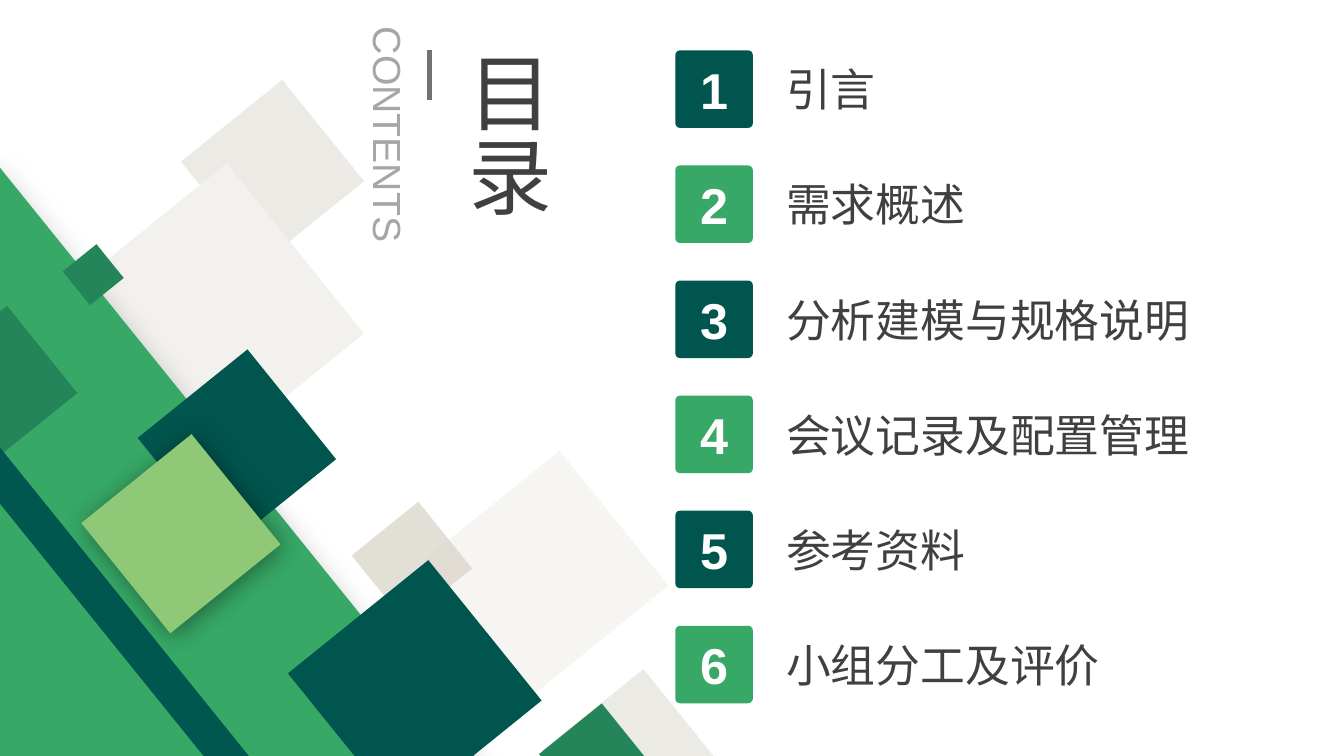
from dataclasses import dataclass

from lxml import etree
from pptx import Presentation
from pptx import util as u
from pptx.dml.color import RGBColor
from pptx.enum import shapes, text
from pptx.oxml import ns


@dataclass(frozen=True)
class Theme:
    font: str = "Arial"
    title: int = 60
    sub: int = 28
    num: int = 36
    item: int = 32
    ink: str = "404040"
    pale: str = "A6A6A6"
    rule: str = "767171"
    white: str = "FFFFFF"
    deep: str = "00554E"
    stripe: str = "00574F"
    green: str = "37A866"
    mid: str = "24855A"
    lime: str = "8FC877"
    sand: str = "E7E4DD"
    mist: str = "F2F1ED"
    stone: str = "D8D4C9"


T = Theme()
TILT = 231.1
ITEMS = ["引言", "需求概述", "分析建模与规格说明", "会议记录及配置管理", "参考资料", "小组分工及评价"]

# centre x, centre y, width, height, colour, opacity %, shadow (blur, distance, angle)
DECOR = [
    (194.6, 122.4, 93, 93, T.sand, 76, None),
    (150.2, 226.5, 156.2, 156.2, T.mist, 100, None),
    (452.6, 543.3, 93, 93, T.sand, 76, None),
    (390.3, 409, 123.9, 123.9, T.mist, 67, None),
    (294.2, 401.4, 61.2, 61.2, T.stone, 73, None),
    (91.8, 511.6, 748, 349.2, T.green, 100, (27, 16, 90)),
    (425.5, 542.9, 57.6, 57.6, T.mid, 100, None),
    (169.2, 320.4, 100.8, 100.8, T.deep, 100, None),
    (-1, 274.7, 80, 80, T.mid, 100, None),
    (66.6, 196.2, 31, 31, T.mid, 100, None),
    (117.7, 485.6, 782.6, 25.2, T.stripe, 100, None),
    (129.2, 381.2, 101.2, 101.2, T.lime, 100, (18, 3, 45)),
    (296.3, 490.7, 128.9, 128.9, T.deep, 100, None),
]


def node(parent, tag, **attrs):
    return etree.SubElement(parent, ns.qn(tag), {k: str(v) for k, v in attrs.items()})


def block(slide, kind, x, y, w, h, color):
    """Add a plain filled shape without outline or shadow."""
    shape = slide.shapes.add_shape(kind, u.Pt(x), u.Pt(y), u.Pt(w), u.Pt(h))
    shape.shadow.inherit = False
    shape.fill.solid()
    shape.fill.fore_color.rgb = RGBColor.from_string(color)
    shape.line.fill.background()
    return shape


def fade(shape, alpha):
    color = shape.fill._xPr.find(".//" + ns.qn("a:srgbClr"))
    node(color, "a:alpha", val=alpha * 1000)


def shade(shape, blur, dist, angle):
    """Cast a soft black shadow."""
    effects = shape._element.spPr.find(ns.qn("a:effectLst"))
    outer = node(effects, "a:outerShdw", blurRad=u.Pt(blur), dist=u.Pt(dist),
                 dir=angle * 60000, algn="ctr", rotWithShape=0)
    node(node(outer, "a:srgbClr", val="000000"), "a:alpha", val=40000)


def write(shape, words, size, color, bold=False):
    par = shape.text_frame.paragraphs[0]
    par.text = words
    par.font.name = T.font
    par.font.size = u.Pt(size)
    par.font.bold = bold
    par.font.color.rgb = RGBColor.from_string(color)
    return par


def label(slide, x, y, w, h, words, size, color):
    box = slide.shapes.add_textbox(u.Pt(x), u.Pt(y), u.Pt(w), u.Pt(h))
    box.text_frame.word_wrap = True
    box.text_frame.auto_size = text.MSO_AUTO_SIZE.SHAPE_TO_FIT_TEXT
    write(box, words, size, color)
    return box


def decor(slide, left, top):
    for x, y, w, h, color, alpha, shadow in DECOR:
        shape = block(slide, shapes.MSO_SHAPE.RECTANGLE,
                      left + x - w / 2, top + y - h / 2, w, h, color)
        shape.rotation = TILT
        if alpha < 100:
            fade(shape, alpha)
        if shadow:
            shade(shape, *shadow)


def heading(slide, left, top):
    """Upright title, a short rule and the turned subtitle."""
    sub = label(slide, left, top + 54.7, 183.6, 41, "CONTENTS", T.sub, T.pale)
    sub.rotation = 90
    title = label(slide, left + 128.9, top, 87.1, 140.4, "目录", T.title, T.ink)
    title.text_frame._txBody.bodyPr.set("vert", "eaVert")
    x = u.Pt(left + 121)
    rule = slide.shapes.add_connector(shapes.MSO_CONNECTOR.STRAIGHT,
                                      x, u.Pt(top + 7.2), x, u.Pt(top + 42.5))
    rule.line.width = u.Pt(3)
    rule.line.color.rgb = RGBColor.from_string(T.rule)
    node(rule._element.spPr, "a:effectLst")


def agenda(slide, left, top, width, pitch, side=55.4):
    for i, words in enumerate(ITEMS):
        y = top + i * pitch
        tile = block(slide, shapes.MSO_SHAPE.ROUNDED_RECTANGLE, left, y, side, side,
                     T.green if i % 2 else T.deep)
        tile.adjustments[0] = 0.06
        tile.text_frame.vertical_anchor = text.MSO_ANCHOR.MIDDLE
        par = write(tile, str(i + 1), T.num, T.white, bold=True)
        par.alignment = text.PP_ALIGN.CENTER
        label(slide, left + 72, y + 4.8, width - 72, 46, words, T.item, T.ink)


def main():
    deck = Presentation()
    deck.slide_width, deck.slide_height = u.Pt(960), u.Pt(540)
    slide = deck.slides.add_slide(deck.slide_layouts[6])
    decor(slide, 0, 0)
    heading(slide, 185.8, 28.8)
    agenda(slide, 482.4, 36, 400, 82.2)
    deck.save("out.pptx")


if __name__ == "__main__":
    main()
